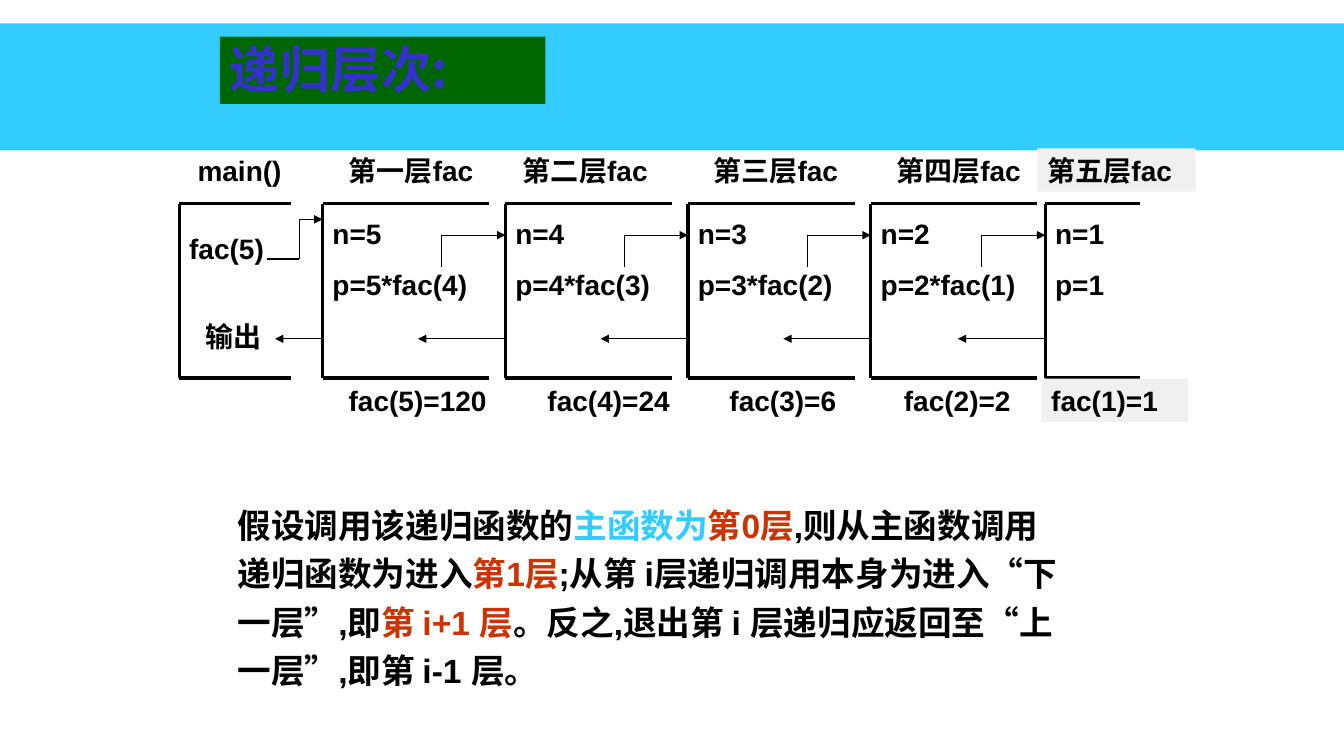
import pptx
import pptx.dml.color
import pptx.enum.shapes
import pptx.enum.text
import pptx.oxml
import pptx.oxml.ns
import pptx.util

Pt = pptx.util.Pt
TOP, BASE, BACK = 145.5, 270, 242
BLACK, BLUE, RED, GRAY = "000000", "33CCFF", "CC3300", "F0F0F0"

# left edge, frame width, lines, heading, heading left, result, result left
LEVELS = [
    (230.4, 119, ["n=5", "p=5*fac(4)"], "第一层fac", 242, "fac(5)=120", 242),
    (361, 119, ["n=4", "p=4*fac(3)"], "第二层fac", 366.5, "fac(4)=24", 384),
    (491.4, 119, ["n=3", "p=3*fac(2)"], "第三层fac", 502.5, "fac(3)=6", 514),
    (622, 119, ["n=2", "p=2*fac(1)"], "第四层fac", 633, "fac(2)=2", 638.6),
    (746.6, 68, ["n=1", "p=1"], "第五层fac", 741, "fac(1)=1", 743.8),
]
BODY = [
    ("假设调用该递归函数的", BLACK),
    ("主函数为", BLUE),
    ("第0层", RED),
    (",则从主函数调用递归函数为进入".replace(",", ","), BLACK),
    ("第1层", RED),
    (";从第 i层递归调用本身为进入“下一层”,即", BLACK),
    ("第 i+1 层", RED),
    ("。反之,退出第 i 层递归应返回至“上一层”,即第 i-1 层。", BLACK),
]


def paint(fmt, color):
    """Give a fill a solid colour."""
    fmt.solid()
    fmt.fore_color.rgb = pptx.dml.color.RGBColor.from_string(color)


def style(para, size, color=BLACK, face="Arial"):
    """Set the bold font of a whole paragraph."""
    font = para.font
    font.name, font.size, font.bold = face, Pt(size), True
    paint(font.fill, color)


def label(slide, left, top, width, lines, fill=None):
    """Add a text box with one paragraph for each line."""
    high = 31 + 36 * (len(lines) - 1)
    box = slide.shapes.add_textbox(Pt(left), Pt(top), Pt(width), Pt(high))
    if fill:
        paint(box.fill, fill)
    frame = box.text_frame
    frame.word_wrap = True
    frame.text = "\n".join(lines)
    for para in frame.paragraphs:
        style(para, 20)
    for para in frame.paragraphs[1:]:
        para.space_before = Pt(12)


def path(slide, points, weight, arrow=False):
    """Join points with straight lines, with an arrowhead at the end if asked."""
    for start, end in zip(points, points[1:]):
        line = slide.shapes.add_connector(
            pptx.enum.shapes.MSO_CONNECTOR.STRAIGHT,
            *[Pt(value) for value in start + end])
        paint(line.line.fill, BLACK)
        line.line.width = Pt(weight)
        props = line.element.spPr
        props.append(pptx.oxml.parse_xml(
            "<a:effectLst %s/>" % pptx.oxml.ns.nsdecls("a")))
        if arrow and end == points[-1]:
            line.line._get_or_add_ln().append(pptx.oxml.parse_xml(
                '<a:tailEnd %s type="triangle"/>' % pptx.oxml.ns.nsdecls("a")))


def bracket(slide, left, width):
    """Draw the open frame of one level."""
    path(slide, [(left + width, TOP), (left, TOP),
                 (left, BASE), (left + width, BASE)], 2.25)


def band(slide, width):
    """Draw the coloured band across the top."""
    shape = slide.shapes.add_shape(
        pptx.enum.shapes.MSO_SHAPE.RECTANGLE, 0, Pt(16.8), width, Pt(90.7))
    shape.shadow.inherit = False
    paint(shape.fill, BLUE)
    shape.line.fill.background()


def head(slide, text):
    """Place and format the title above the band."""
    title = slide.shapes.title
    title.left, title.top = Pt(157), Pt(26.2)
    title.width, title.height = Pt(232.5), Pt(48)
    paint(title.fill, "006600")
    frame = title.text_frame
    frame.text = text
    frame.vertical_anchor = pptx.enum.text.MSO_ANCHOR.BOTTOM
    frame.auto_size = pptx.enum.text.MSO_AUTO_SIZE.NONE
    para = frame.paragraphs[0]
    para.alignment = pptx.enum.text.PP_ALIGN.LEFT
    style(para, 36, "3333CC", "Noto Sans CJK SC")
    tree = title.element.getparent()
    tree.append(title.element)


def start(slide):
    """Draw the main program and its call."""
    bracket(slide, 128, 80)
    label(slide, 128, 162, 79, ["fac(5)"])
    label(slide, 134, 106, 79, ["main()"])
    label(slide, 139.5, 224.8, 125, ["输出"])
    path(slide, [(191, 185), (213.7, 185), (213.7, 156.7), (230.4, 156.7)],
         0.75, True)


def level(slide, index):
    """Draw one recursion level with its call and return arrows."""
    left, width, lines, name, name_x, result, end_x = LEVELS[index]
    fill = GRAY if index == len(LEVELS) - 1 else None
    bracket(slide, left, width)
    label(slide, left, 151.2, 124.5, lines)
    label(slide, name_x, 106, 113, [name], fill)
    label(slide, end_x, 270.4, 105 if fill else 124.5, [result], fill)
    reach = 62.4 if index else 34
    path(slide, [(left, BACK), (left - reach, BACK)], 0.75, True)
    if index:
        turn = left - 45.3
        path(slide, [(turn, 190.5), (turn, 168), (left, 168)], 0.75, True)


def body(slide):
    """Add the explanation with coloured terms."""
    box = slide.shapes.add_textbox(Pt(162.6), Pt(351.4), Pt(601), Pt(147))
    box.text_frame.word_wrap = True
    para = box.text_frame.paragraphs[0]
    para.line_spacing = 1.2
    style(para, 24)
    for text, color in BODY:
        run = para.add_run()
        run.text = text
        paint(run.font.fill, color)


def main():
    """Build and save the slide."""
    deck = pptx.Presentation()
    deck.slide_width, deck.slide_height = Pt(960), Pt(540)
    slide = deck.slides.add_slide(deck.slide_layouts[5])
    band(slide, deck.slide_width)
    start(slide)
    for index in range(len(LEVELS)):
        level(slide, index)
    body(slide)
    head(slide, "递归层次:")
    deck.save("out.pptx")


main()
